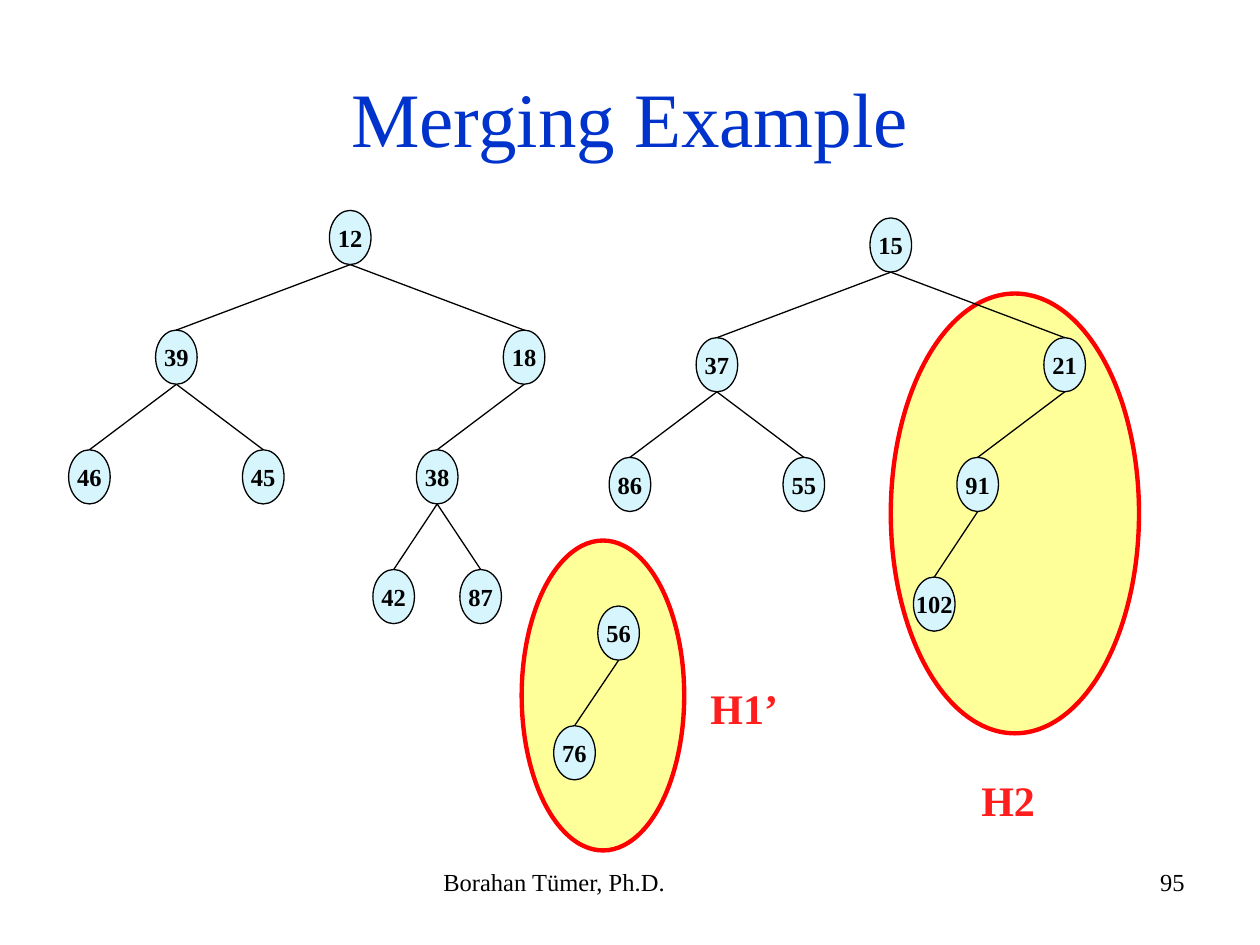
from dataclasses import dataclass
from lxml.etree import SubElement
from pptx import Presentation
from pptx.dml.color import RGBColor as RGB
from pptx.enum.shapes import MSO_CONNECTOR as Conn, MSO_SHAPE as Kind
from pptx.enum.text import MSO_ANCHOR as Anchor, MSO_AUTO_SIZE as Fit, PP_ALIGN as Align
from pptx.oxml.ns import qn
from pptx.util import Inches, Pt


@dataclass(frozen=True)
class Theme:
    font: str = "Times New Roman"
    ink: RGB = RGB(0x00, 0x00, 0x00)
    title: RGB = RGB(0x00, 0x33, 0xCC)
    label: RGB = RGB(0xFE, 0x1E, 0x1E)
    node: RGB = RGB(0xD6, 0xF5, 0xFC)
    zone: RGB = RGB(0xFF, 0xFF, 0x99)
    rim: RGB = RGB(0xFF, 0x00, 0x00)
    big: int = 44
    mid: int = 24
    small: int = 14
    thin: float = 0.75
    thick: float = 2.5


class Board:
    """Holds the style and the current slide."""
    wide, high = 0.33, 0.43   # node size
    drop = 0.95               # from one tree level to the next

    def __init__(self, theme, slide):
        self.theme, self.slide = theme, slide

    def words(self, frame, text, size, color, align, bold=False):
        para = frame.paragraphs[0]
        para.alignment = align
        run = para.add_run()
        run.text = text
        font = run.font
        font.name, font.size, font.bold = self.theme.font, Pt(size), bold
        font.color.rgb = color

    def title(self, text, x, y, w, h):
        box = self.slide.shapes.title
        box.left, box.top, box.width, box.height = map(Inches, (x, y, w, h))
        frame = box.text_frame
        frame.auto_size, frame.vertical_anchor = Fit.NONE, Anchor.MIDDLE
        self.words(frame, text, self.theme.big, self.theme.title, Align.CENTER)

    def text(self, text, x, y, w, h, size, color, align=Align.LEFT, bold=False):
        box = self.slide.shapes.add_textbox(*map(Inches, (x, y, w, h)))
        box.text_frame.word_wrap = True
        self.words(box.text_frame, text, size, color, align, bold)

    def oval(self, x, y, w, h, fill, line, width):
        shape = self.slide.shapes.add_shape(Kind.OVAL, *map(Inches, (x, y, w, h)))
        shape.shadow.inherit = False
        shape.fill.solid()
        shape.fill.fore_color.rgb = fill
        shape.line.color.rgb = line
        shape.line.width = Pt(width)
        return shape

    def zone(self, x, y, w, h):
        self.oval(x, y, w, h, self.theme.zone, self.theme.rim, self.theme.thick)

    def node(self, key, x, y):
        look = self.theme
        shape = self.oval(x - self.wide / 2, y, self.wide, self.high,
                          look.node, look.ink, look.thin)
        frame = shape.text_frame
        frame.word_wrap, frame.vertical_anchor = False, Anchor.MIDDLE
        self.words(frame, str(key), look.small, look.ink, Align.CENTER, True)
        return shape

    def edge(self, x, y, child):
        ends = map(Inches, (x, y, x, y))
        line = self.slide.shapes.add_connector(Conn.STRAIGHT, *ends)
        line.end_connect(child, 0)
        line.line.color.rgb = self.theme.ink
        line.line.width = Pt(self.theme.thin)
        SubElement(line._element.spPr, qn("a:effectLst"))

    def tree(self, root, x, y, gap):
        """Draw (key, left, right) with its top centre at x, y; gap halves per level."""
        key, *kids = root
        shape = self.node(key, x, y)
        for side, kid in zip((-1, 1), kids):
            child = self.tree(kid, x + side * gap, y + self.drop, gap / 2)
            self.edge(x, y + self.high, child)
        return shape


def main():
    deck = Presentation()
    deck.slide_width, deck.slide_height = Inches(10), Inches(7.5)
    look = Theme()
    board = Board(look, deck.slides.add_slide(deck.slide_layouts[5]))

    # Title and footer
    board.title("Merging Example", 0.5, 0.3, 9, 1.25)
    board.text("Borahan Tümer, Ph.D.", 3.42, 6.83, 3.17, 0.52, look.small, look.ink)
    board.text("95", 7.17, 6.83, 2.33, 0.52, look.small, look.ink, Align.RIGHT)

    # Highlighted zones
    board.zone(7.07, 2.33, 1.97, 3.49)
    board.zone(4.14, 4.29, 1.29, 2.46)

    # Heaps: (key, left, right)
    first = (12, (39, (46,), (45,)), (18, (38, (42,), (87,))))
    second = (15, (37, (86,), (55,)), (21, (91, (102,))))
    board.tree(first, 2.78, 1.67, 1.38)
    board.tree((56, (76,)), 4.91, 4.81, 0.35)
    board.tree(second, 7.07, 1.73, 1.38)

    # Zone labels
    for name, x, y in (("H1’", 5.54, 5.37), ("H2", 7.69, 6.1)):
        board.text(name, x, y, 0.77, 0.5, look.mid, look.label, bold=True)

    deck.save("out.pptx")


if __name__ == "__main__":
    main()
